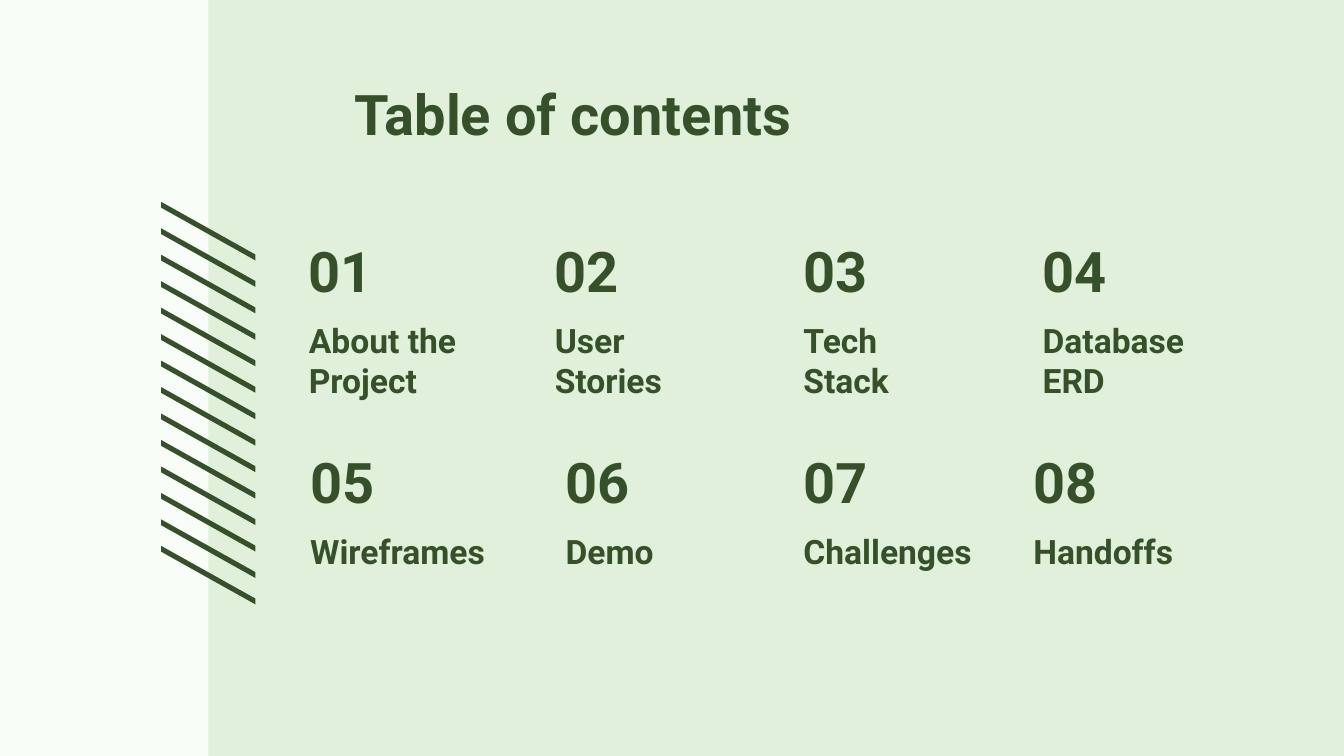
"""Build a table of contents slide with eight numbered sections and a hatched stripe."""
from lxml import etree
from pptx import Presentation
from pptx import util as u
from pptx.dml.color import RGBColor
from pptx.enum import shapes, text
from pptx.oxml import ns

WIDTH = 10
HEIGHT = WIDTH * 9 / 16
COLORS = {"background": "F9FDF8", "panel": "E0F0DA", "ink": "36502A"}
TITLE = "Table of contents"
ROWS = [
    {"top": 1.73, "lefts": (2.2, 4.03, 5.88, 7.66),
     "labels": ("About the Project", "User\nStories", "Tech\nStack", "Database\nERD")},
    {"top": 3.3, "lefts": (2.21, 4.11, 5.88, 7.59),
     "labels": ("Wireframes", "Demo", "Challenges", "Handoffs")},
]
NUMBER_SIZE, LABEL_SIZE = (0.8, 0.63), (1.74, 0.86)
LABEL_DROP = 0.49
PANEL_LEFT = 1.55
STRIPES = {"count": 14, "left": 1.21, "right": 1.89, "first": 1.52, "last": 4.08,
           "drop": 0.38, "thickness": 0.02}
HEADING = {"size": u.Pt(30), "name": "Roboto", "bold": True}
LABEL = {**HEADING, "size": u.Pt(18)}


def color(name):
    return RGBColor.from_string(COLORS[name])


def add_text(slide, content, left, top, size, style, anchor, inset_top=0.1):
    box = slide.shapes.add_textbox(*map(u.Inches, (left, top, *size)))
    frame = box.text_frame
    frame_format = {
        "word_wrap": True, "auto_size": text.MSO_AUTO_SIZE.NONE, "vertical_anchor": anchor,
        "margin_left": u.Inches(0.1), "margin_right": u.Inches(0.1),
        "margin_top": u.Inches(inset_top), "margin_bottom": u.Inches(0.1),
    }
    for attribute, value in frame_format.items():
        setattr(frame, attribute, value)
    frame.text = content
    for paragraph in frame.paragraphs:
        for run in paragraph.runs:
            for attribute, value in style.items():
                setattr(run.font, attribute, value)
            run.font.color.rgb = color("ink")


def fill_shape(shape, name):
    shape.shadow.inherit = False
    shape.fill.solid()
    shape.fill.fore_color.rgb = color(name)


def add_panel(slide):
    panel = slide.shapes.add_shape(
        shapes.MSO_SHAPE.RECTANGLE,
        *map(u.Inches, (PANEL_LEFT, 0, WIDTH - PANEL_LEFT, HEIGHT)))
    fill_shape(panel, "panel")
    panel.line.fill.background()


def add_stripes(slide):
    left, right = STRIPES["left"], STRIPES["right"]
    drop, thickness = STRIPES["drop"], STRIPES["thickness"]
    step = (STRIPES["last"] - STRIPES["first"]) / (STRIPES["count"] - 1)
    for index in range(STRIPES["count"]):
        top = STRIPES["first"] + index * step
        corners = [(left, top), (right, top + drop),
                   (right, top + drop + thickness), (left, top + thickness)]
        points = [(u.Inches(x), u.Inches(y)) for x, y in corners]
        builder = slide.shapes.build_freeform(*points[0])
        builder.add_line_segments(points[1:], close=True)
        stripe = builder.convert_to_shape()
        fill_shape(stripe, "ink")
        stripe.line.color.rgb = color("ink")
        stripe.line.width = u.Pt(1.5)
        outline = stripe.element.spPr.find(ns.qn("a:ln"))
        etree.SubElement(outline, ns.qn("a:miter"), lim="800000")


def add_sections(slide):
    number = 0
    for row in ROWS:
        for left, label in zip(row["lefts"], row["labels"]):
            number += 1
            add_text(slide, f"{number:02}", left, row["top"], NUMBER_SIZE, HEADING,
                     text.MSO_ANCHOR.BOTTOM)
            add_text(slide, label, left, row["top"] + LABEL_DROP, LABEL_SIZE, LABEL,
                     text.MSO_ANCHOR.TOP, inset_top=0.16)


def main():
    presentation = Presentation()
    presentation.slide_width, presentation.slide_height = u.Inches(WIDTH), u.Inches(HEIGHT)
    slide = presentation.slides.add_slide(presentation.slide_layouts[6])
    slide.background.fill.solid()
    slide.background.fill.fore_color.rgb = color("background")
    add_panel(slide)
    add_text(slide, TITLE, 2.54, 0.49, (6.68, 0.63), HEADING, text.MSO_ANCHOR.TOP)
    add_stripes(slide)
    add_sections(slide)
    presentation.save("out.pptx")


if __name__ == "__main__":
    main()
